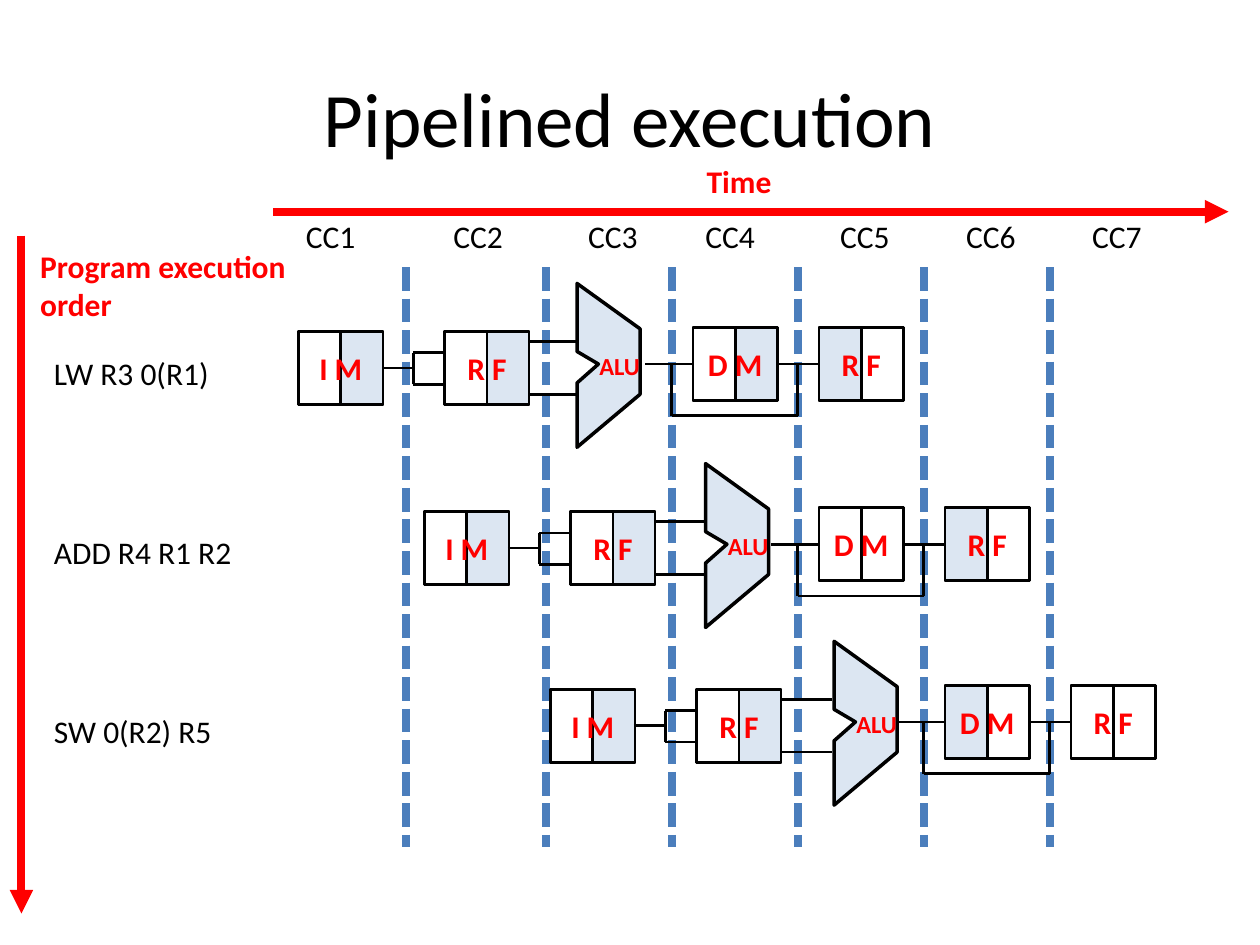
from lxml import etree
from pptx import Presentation
from pptx.dml.color import RGBColor
from pptx.enum import dml, shapes, text
from pptx.oxml import ns
from pptx.util import Pt

TITLE = "Pipelined execution"
CYCLES = [("CC1", 2.33), ("CC2", 3.5), ("CC3", 4.57), ("CC4", 5.5),
          ("CC5", 6.57), ("CC6", 7.57), ("CC7", 8.57)]
BARS = [3.22] + [4.33 + n for n in range(5)]
ROWS = [
    ("LW R3 0(R1)", 2.63, "RRRL"),
    ("ADD R4 R1 R2", 4.06, "RR-L"),
    ("SW 0(R2) R5", 5.47, "RRL-"),
]
STAGES = [("I M", 2.37, 0), ("R F", 3.53, 0), ("D M", 5.5, -.03), ("R F", 6.5, -.03)]
WIRES = [
    (3.03, .29, 3.28, .29), (3.28, .17, 3.53, .17), (3.28, .42, 3.53, .42),
    (3.28, .42, 3.28, .17), (4.2, .08, 4.6, .08), (4.2, .5, 4.6, .5),
    (5.12, .26, 5.5, .26), (6.17, .26, 6.5, .26), (5.33, .67, 5.33, .27),
    (6.33, .67, 6.33, .27), (5.33, .67, 6.33, .67),
]
ALU = [(0, .92), (.5, .5), (.5, -.02), (0, -.38), (0, .16), (.17, .26), (0, .41)]
ARROWS = [(2.17, 1.68, 9.75, 1.68), (.17, 1.87, .17, 7.25)]
THEME = dict(font="Calibri", ink="000000", red="FF0000", pale="DCE6F2", bar="4B7EBC",
             head=44, body=18, small=14, thin=1.5, edge=2, thick=4.5)
HALF, TALL = .335, .58

prs = Presentation()
prs.slide_width, prs.slide_height = 9144000, 6858000
UNIT = prs.slide_width // 10
page = prs.slides.add_slide(prs.slide_layouts[6])


def grid(*vals):
    return [round(v * UNIT) for v in vals]


def hue(key):
    return RGBColor.from_string(THEME[key])


def write(shape, words, size="body", color="ink", bold=False, align="LEFT",
          anchor="TOP", wrap=True, inset=None):
    frame = shape.text_frame
    frame.word_wrap = wrap
    frame.vertical_anchor = text.MSO_ANCHOR[anchor]
    if inset is not None:
        frame.margin_left = frame.margin_right = inset
        frame.margin_top = frame.margin_bottom = inset
    para = frame.paragraphs[0]
    para.alignment = text.PP_ALIGN[align]
    run = para.add_run()
    run.text = words
    font = run.font
    font.name, font.size, font.bold = THEME["font"], Pt(THEME[size]), bold
    font.color.rgb = hue(color)


def label(words, x, y, w, h=.4, **form):
    write(page.shapes.add_textbox(*grid(x, y, w, h)), words, **form)


def paint(shape, fill=None, width="thin"):
    shape.shadow.inherit = False
    if fill:
        shape.fill.solid()
        shape.fill.fore_color.rgb = hue(fill)
    else:
        shape.fill.background()
    shape.line.color.rgb = hue("ink")
    shape.line.width = Pt(THEME[width])


def box(pool, x, y, w, fill=None):
    rect = pool.add_shape(shapes.MSO_SHAPE.RECTANGLE, *grid(x, y, w, TALL))
    paint(rect, fill)
    return rect


def wire(pool, ends, color="ink", width="thin", dash=None, arrow=False):
    link = pool.add_connector(shapes.MSO_CONNECTOR.STRAIGHT, *grid(*ends))
    link.line.color.rgb = hue(color)
    link.line.width = Pt(THEME[width])
    if dash:
        link.line.dash_style = dash
    if arrow:
        etree.SubElement(link.line._get_or_add_ln(), ns.qn("a:tailEnd"), type="triangle")
    etree.SubElement(link._element.spPr, ns.qn("a:effectLst"))


def lane(step, top, fills):
    pool = page.shapes.add_group_shape().shapes
    for (name, x, rise), side in zip(STAGES, fills):
        x, y = x + step, top + rise
        for n, half in enumerate("LR"):
            box(pool, x + n * HALF, y, HALF, "pale" if side == half else None)
        write(box(pool, x, y, 2 * HALF), name, color="red", bold=True,
              align="CENTER", anchor="MIDDLE", wrap=False)
    for x1, y1, x2, y2 in WIRES:
        wire(pool, (x1 + step, y1 + top, x2 + step, y2 + top))
    left = 4.58 + 1.02 * step
    dots = [grid(left + x, top + y) for x, y in ALU]
    pen = pool.build_freeform(*dots[0])
    pen.add_line_segments(dots[1:], close=True)
    alu = pen.convert_to_shape()
    paint(alu, "pale", "edge")
    write(alu, "ALU", size="small", color="red", bold=True, align="RIGHT",
          anchor="MIDDLE", inset=0)


label(TITLE, .5, .3, 9, 1.25, size="head", align="CENTER", anchor="MIDDLE")
for x in BARS:
    wire(page.shapes, (x, 2.12, x, 6.72), "bar", "thick", dml.MSO_LINE.SQUARE_DOT)
for step, (_, top, fills) in reversed(list(enumerate(ROWS))):
    lane(step, top, fills)
for name, x in CYCLES:
    label(name, x, 1.67, .6, wrap=False)
for ends in ARROWS:
    wire(page.shapes, ends, "red", "thick", arrow=True)
label("Time", 5.51, 1.24, .72, color="red", bold=True, wrap=False)
label("Program execution order", .22, 1.91, 2.19, .71, color="red", bold=True)
for step, (name, _, _) in enumerate(ROWS):
    label(name, .33, 2.76 + 1.42 * step, 1.83)

prs.save("out.pptx")
